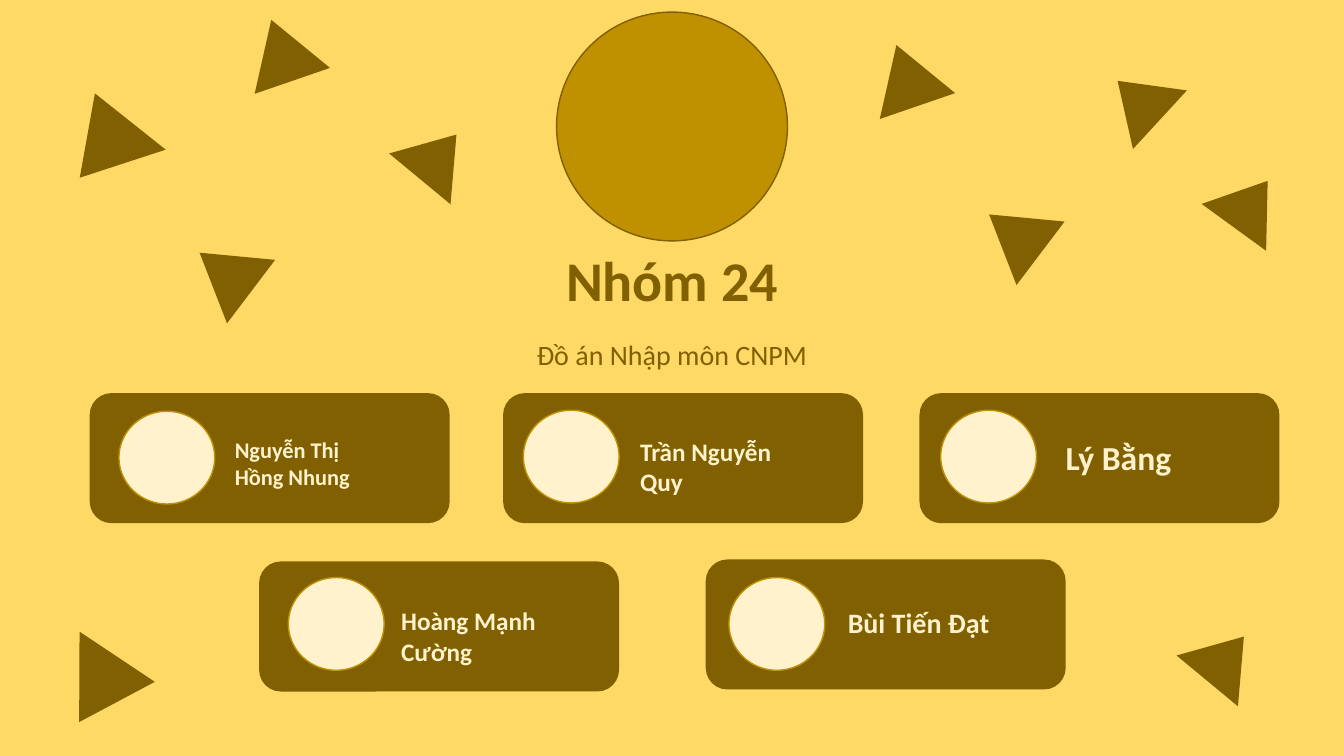
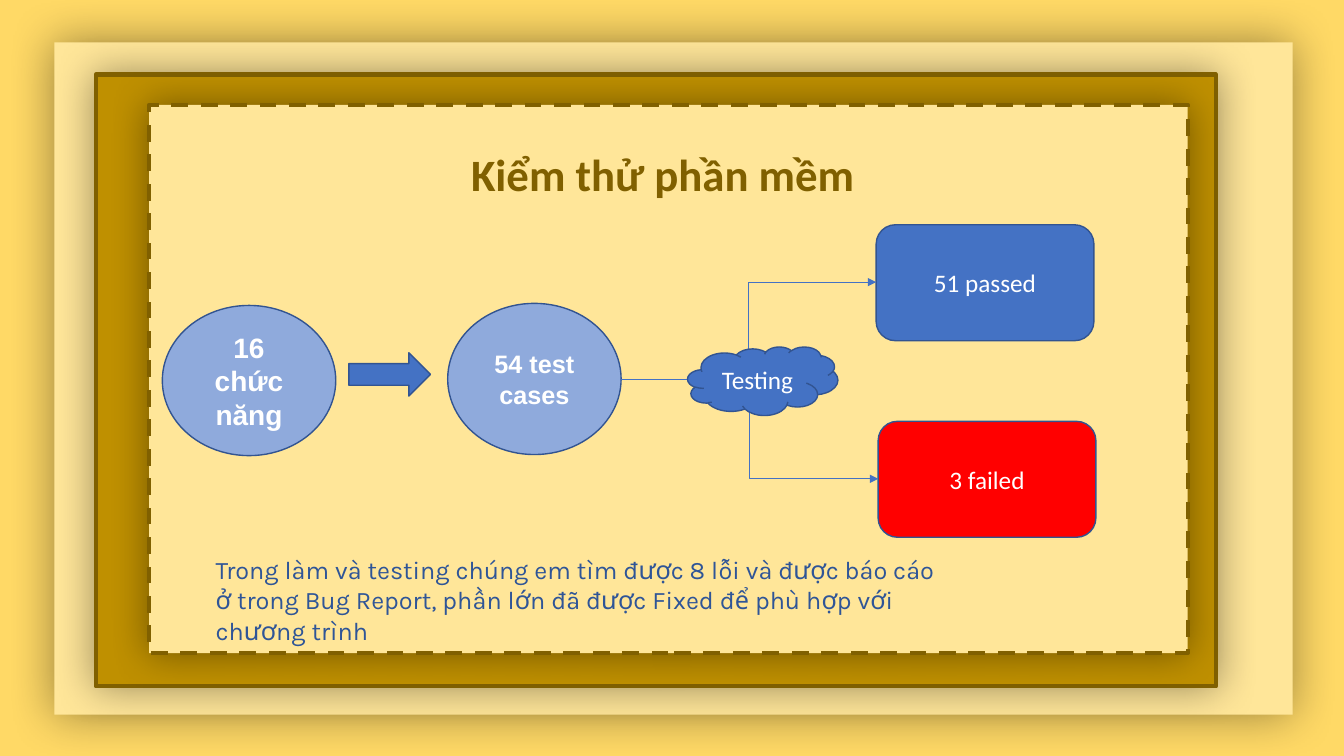
from dataclasses import dataclass

from lxml import etree
from pptx import Presentation
from pptx.dml.color import RGBColor
from pptx.enum.dml import MSO_LINE
from pptx.enum.shapes import MSO_CONNECTOR, MSO_SHAPE
from pptx.enum.text import MSO_ANCHOR, MSO_AUTO_SIZE, PP_ALIGN
from pptx.oxml.ns import qn
from pptx.util import Inches, Pt

RECT, ROUND, OVAL = MSO_SHAPE.RECTANGLE, MSO_SHAPE.ROUNDED_RECTANGLE, MSO_SHAPE.OVAL
TRIANGLE, CLOUD = MSO_SHAPE.ISOSCELES_TRIANGLE, MSO_SHAPE.CLOUD
NODE, ARROW = MSO_SHAPE.FLOWCHART_CONNECTOR, MSO_SHAPE.RIGHT_ARROW
ELBOW, DASH = MSO_CONNECTOR.ELBOW, MSO_LINE.DASH
LEFT, CENTER = PP_ALIGN.LEFT, PP_ALIGN.CENTER
TOP, MIDDLE = MSO_ANCHOR.TOP, MSO_ANCHOR.MIDDLE


@dataclass(frozen=True)
class Theme:
    background: str = "FFD966"
    panel: str = "FFE699"
    gold: str = "BF9000"
    brown: str = "806000"
    cream: str = "FFF2CC"
    blue: str = "4472C4"
    light_blue: str = "8FAADC"
    outline: str = "325491"
    note: str = "2F5597"
    red: str = "FF0000"
    white: str = "FFFFFF"
    font: str = "Calibri"
    node_font: str = "Arial"
    note_font: str = "Karla"
    cover_size: int = 40
    title_size: int = 32
    subtitle_size: int = 20
    text_size: int = 18


T = Theme()

# Content: cover
COVER_TITLE, COVER_SUBTITLE = "Nhóm 24", "Đồ án Nhập môn CNPM"
CARD_SIZE, PORTRAIT_SIZE, NAME_WIDTH = (3.57, 1.29), (0.95, 0.92), 1.72
# name, type size, card corner, portrait offset, name offset, name height
MEMBERS = [
    ("Nguyễn Thị Hồng Nhung", 16, (0.89, 3.9), (0.29, 0.18), (1.34, 0.38), 0.64),
    ("Trần Nguyễn Quy", 18, (4.99, 3.9), (0.2, 0.17), (1.26, 0.38), 0.71),
    ("Bùi Tiến Đạt", 20, (7, 5.55), (0.23, 0.18), (1.31, 0.41), 0.77),
    ("Lý Bằng", 24, (9.12, 3.9), (0.21, 0.17), (1.35, 0.39), 0.5),
    ("Hoàng Mạnh Cường", 18, (2.57, 5.57), (0.29, 0.16), (1.31, 0.39), 0.71),
]
# triangle size: (left, top, rotation)
TRIANGLES = {
    (0.85, 0.79): [(0.83, 1.02, 100.2), (0.55, 6.22, 332)],
    (0.79, 0.57): [(10.9, 0.71, 312.6), (11.76, 6.25, 39.6), (3.95, 1.27, 39.6),
                   (12.01, 1.74, 36)],
    (0.79, 0.64): [(9.67, 2, 307.1), (1.84, 2.38, 307.1), (8.6, 0.43, 341),
                   (2.4, 0.18, 341)],
}

# Content: testing
TEST_TITLE = "Kiểm thử phần mềm"
TEST_NOTE = ("Trong làm và testing chúng em tìm được 8 lỗi và được báo cáo ở trong "
             "Bug Report, phần lớn đã được Fixed để phù hợp với chương trình")
# box, fill, line, shadow blur
PANELS = [
    ((0.54, 0.42, 12.28, 6.67), T.panel, {}, 34),
    ((0.95, 0.74, 11.11, 6.07), T.gold, dict(line=T.brown, weight=3), 30),
    ((1.48, 1.04, 10.3, 5.44), T.panel, dict(line=T.brown, weight=3, dash=DASH), 28),
]
NODE_TEXT = dict(font=T.node_font, bold=True)
FLOW = [
    (NODE, (1.61, 3.03, 1.72, 1.49), T.light_blue, "16 chức năng", dict(NODE_TEXT, size=20)),
    (NODE, (4.44, 3.01, 1.72, 1.5), T.light_blue, "54 test cases", NODE_TEXT),
    (ROUND, (8.69, 2.23, 2.16, 1.15), T.blue, "51 passed", {}),
    (ROUND, (8.71, 4.18, 2.16, 1.15), T.red, "3 failed", {}),
    (ARROW, (3.46, 3.5, 0.81, 0.43), T.blue, "", {}),
]
CLOUD_STEP = (CLOUD, (6.82, 3.44, 1.49, 0.68), T.blue, "Testing", {})
BRANCH_START, BRANCH_ENDS = (6.16, 3.76), [(8.71, 4.75), (8.69, 2.8)]


def rgb(color):
    return RGBColor.from_string(color)


def write(shape, text, size=T.text_size, color=T.white, font=T.font, bold=False,
          align=LEFT, anchor=TOP, spacing=1.0, gap=0):
    tf = shape.text_frame
    tf.word_wrap, tf.auto_size, tf.vertical_anchor = True, MSO_AUTO_SIZE.NONE, anchor
    p = tf.paragraphs[0]
    p.alignment, p.line_spacing = align, spacing
    p.space_before = p.space_after = Pt(gap)
    r = p.add_run()
    r.text = text
    r.font.size, r.font.name, r.font.bold = Pt(size), font, bold
    r.font.color.rgb = rgb(color)


def add_shape(shapes, kind, box, fill, line=None, weight=1, dash=None, rotation=0):
    sp = shapes.add_shape(kind, *map(Inches, box))
    sp.shadow.inherit = False
    sp.fill.solid()
    sp.fill.fore_color.rgb = rgb(fill)
    sp.rotation = rotation
    if line:
        sp.line.color.rgb = rgb(line)
        sp.line.width = Pt(weight)
        if dash:
            sp.line.dash_style = dash
    else:
        sp.line.fill.background()
    return sp


def add_text(shapes, box, text, **fmt):
    write(shapes.add_textbox(*map(Inches, box)), text, **fmt)


def fill_placeholder(s, placeholder, box, text, **fmt):
    """Move a placeholder to the front of the slide and write its text."""
    placeholder.left, placeholder.top, placeholder.width, placeholder.height = map(Inches, box)
    s.shapes._spTree.append(placeholder._element)
    write(placeholder, text, **fmt)


def add_glow(sp, blur):
    effects = sp._element.spPr.find(qn("a:effectLst"))
    shadow = etree.SubElement(effects, qn("a:outerShdw"), blurRad=str(Pt(blur)), dist="0",
                              dir="0", algn="ctr", rotWithShape="0")
    color = etree.SubElement(shadow, qn("a:srgbClr"), val="000000")
    etree.SubElement(color, qn("a:alpha"), val="40000")


def add_branch(shapes, start, end):
    cn = shapes.add_connector(ELBOW, *map(Inches, start + end))
    cn.line.color.rgb = rgb(T.blue)
    cn.line.width = Pt(0.5)
    etree.SubElement(cn.line._get_or_add_ln(), qn("a:tailEnd"), type="triangle")
    etree.SubElement(cn._element.spPr, qn("a:effectLst"))


def add_step(shapes, kind, box, fill, text, fmt):
    sp = add_shape(shapes, kind, box, fill, line=T.outline)
    if text:
        write(sp, text, align=CENTER, anchor=MIDDLE, **fmt)


def add_member(s, name, size, corner, portrait, label, height):
    def at(offset):
        return corner[0] + offset[0], corner[1] + offset[1]

    card = s.shapes.add_group_shape().shapes
    add_shape(card, ROUND, corner + CARD_SIZE, T.brown)
    add_shape(card, OVAL, at(portrait) + PORTRAIT_SIZE, T.cream, line=T.gold)
    add_text(card, at(label) + (NAME_WIDTH, height), name, size=size, color=T.cream, bold=True)


def build_cover(prs):
    s = prs.slides.add_slide(prs.slide_layouts[0])
    for member in MEMBERS:
        add_member(s, *member)
    add_shape(s.shapes, OVAL, (5.52, 0.12, 2.29, 2.27), T.gold, line=T.brown)
    for size, places in TRIANGLES.items():
        for left, top, rotation in places:
            add_shape(s.shapes, TRIANGLE, (left, top) + size, T.brown, rotation=rotation)
    fill_placeholder(s, s.shapes.title, (4.48, 2.39, 4.37, 0.77), COVER_TITLE,
                     size=T.cover_size, color=T.brown, bold=True, align=CENTER)
    fill_placeholder(s, s.placeholders[1], (4.88, 3.3, 3.57, 0.44), COVER_SUBTITLE,
                     size=T.subtitle_size, color=T.brown, align=CENTER)


def build_testing(prs):
    s = prs.slides.add_slide(prs.slide_layouts[5])
    # Nested frames
    for box, fill, line, blur in PANELS:
        add_glow(add_shape(s.shapes, RECT, box, fill, **line), blur)
    fill_placeholder(s, s.shapes.title, (3.76, 1.3, 5.63, 0.7), TEST_TITLE,
                     size=T.title_size, color=T.brown, bold=True, align=CENTER,
                     spacing=1.2, gap=6)
    # Flow, with the cloud over the branching lines
    for step in FLOW:
        add_step(s.shapes, *step)
    for end in BRANCH_ENDS:
        add_branch(s.shapes, BRANCH_START, end)
    add_step(s.shapes, *CLOUD_STEP)
    add_text(s.shapes, (2.04, 5.45, 7.35, 1.01), TEST_NOTE, color=T.note, font=T.note_font)


def main():
    prs = Presentation()
    prs.slide_width, prs.slide_height = Inches(13.33), Inches(7.5)
    background = prs.slide_master.background.fill
    background.solid()
    background.fore_color.rgb = rgb(T.background)
    build_cover(prs)
    build_testing(prs)
    prs.save("out.pptx")


if __name__ == "__main__":
    main()
